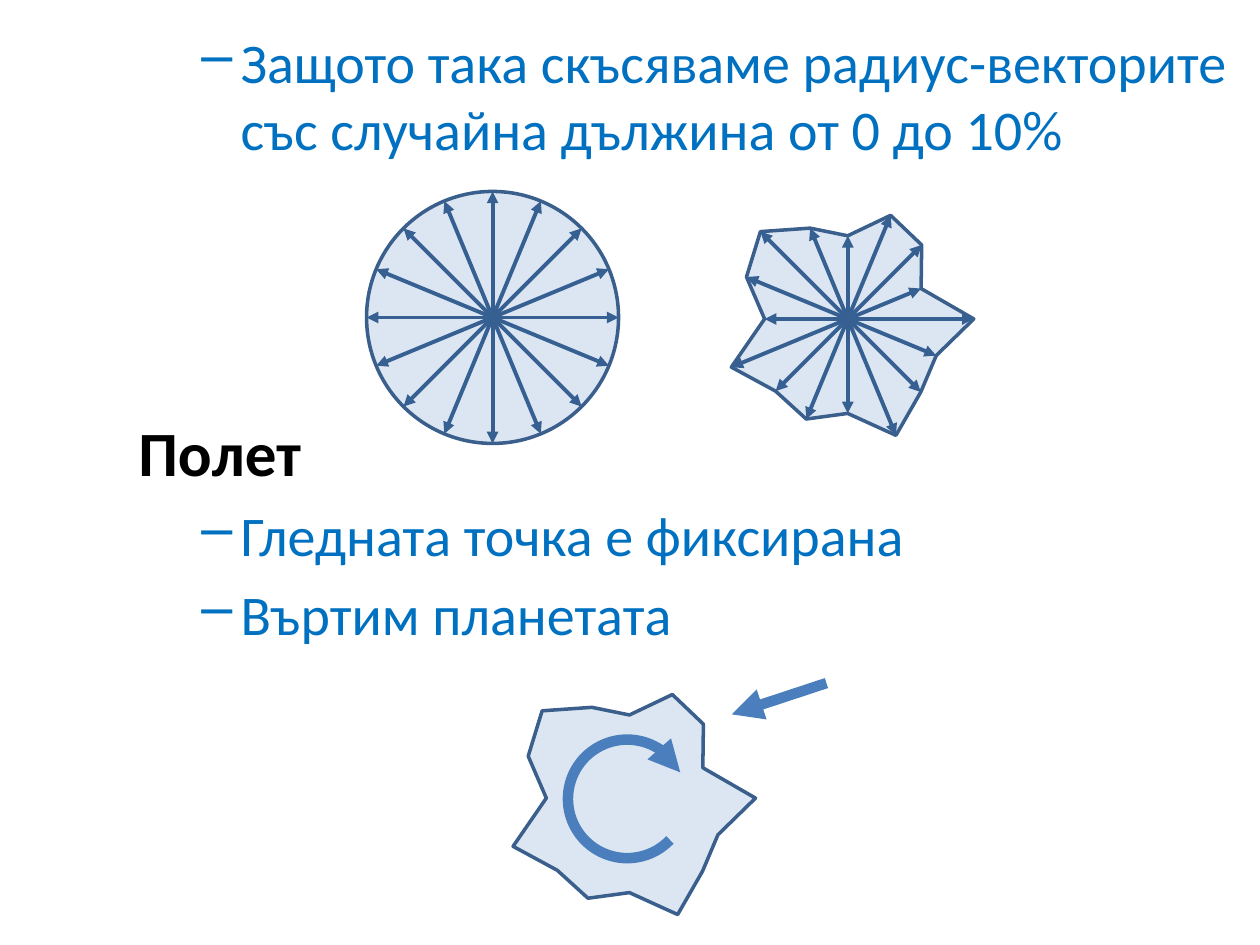
from dataclasses import dataclass
from math import cos, radians, sin

from lxml import etree
from pptx import Presentation
from pptx.dml.color import RGBColor
from pptx.enum.shapes import MSO_CONNECTOR, MSO_SHAPE
from pptx.oxml.ns import qn
from pptx.util import Cm, Pt

STRAIGHT = MSO_CONNECTOR.STRAIGHT
ELLIPSE = MSO_SHAPE.OVAL
ARC = MSO_SHAPE.ARC


@dataclass(frozen=True)
class Theme:
    font: str = "Calibri"
    heading_size: float = 36
    point_size: float = 32
    point_gap: float = 6.4
    heading: RGBColor = RGBColor(0x00, 0x00, 0x00)
    point: RGBColor = RGBColor(0x00, 0x70, 0xC0)
    body: RGBColor = RGBColor(0xDC, 0xE6, 0xF2)
    outline: RGBColor = RGBColor(0x3A, 0x5F, 0x8C)
    spoke: RGBColor = RGBColor(0x37, 0x60, 0x92)
    motion: RGBColor = RGBColor(0x4B, 0x7E, 0xBC)
    outline_width: float = 2
    spoke_width: float = 2.25
    motion_width: float = 6


THEME = Theme()
RADIUS = 2.54
CIRCLE_LENGTHS = [1] * 16
PLANET_LENGTHS = [0.66, 0.89, 0.83, 0.63, 1, 0.76, 0.82, 1,
                  0.75, 0.86, 0.81, 1, 0.66, 0.87, 0.98, 0.78]


def rim_points(center, lengths):
    x, y = center
    step = 360 / len(lengths)
    return [
        (Cm(x + RADIUS * length * sin(radians(step * index))),
         Cm(y - RADIUS * length * cos(radians(step * index))))
        for index, length in enumerate(lengths)
    ]


def style_line(shape, color, width, ends=()):
    shape.line.color.rgb = color
    shape.line.width = Pt(width)
    line = shape.line._get_or_add_ln()
    for end in ends:
        etree.SubElement(line, qn(f"a:{end}"), type="triangle")


def style_body(shape):
    shape.shadow.inherit = False
    shape.fill.solid()
    shape.fill.fore_color.rgb = THEME.body
    style_line(shape, THEME.outline, THEME.outline_width)


def add_arrow(page, start, finish, color, width, ends):
    arrow = page.shapes.add_connector(STRAIGHT, *start, *finish)
    style_line(arrow, color, width, ends)
    etree.SubElement(arrow._element.spPr, qn("a:effectLst"))


def add_spokes(page, center, lengths):
    points = rim_points(center, lengths)
    half = len(points) // 2
    for start, finish in zip(points[:half], points[half:]):
        add_arrow(page, start, finish, THEME.spoke, THEME.spoke_width,
                  ("headEnd", "tailEnd"))


def add_circle(page, center):
    x, y = center
    circle = page.shapes.add_shape(
        ELLIPSE, Cm(x - RADIUS), Cm(y - RADIUS), Cm(2 * RADIUS), Cm(2 * RADIUS))
    style_body(circle)
    add_spokes(page, center, CIRCLE_LENGTHS)


def add_planet(page, center):
    first, *others = rim_points(center, PLANET_LENGTHS)
    builder = page.shapes.build_freeform(*first)
    builder.add_line_segments(others, close=True)
    style_body(builder.convert_to_shape())


def add_flight(page, center):
    x, y = center
    add_planet(page, center)
    size = 2.39
    turn = page.shapes.add_shape(
        ARC, Cm(x - 1.24), Cm(y - 1.18), Cm(size), Cm(size))
    turn.adjustments[0] = 26.33
    turn.adjustments[1] = 200.1
    turn.shadow.inherit = False
    turn.fill.background()
    style_line(turn, THEME.motion, THEME.motion_width, ("tailEnd",))
    add_arrow(page, (Cm(x + 3.97), Cm(y - 2.32)), (Cm(x + 2.06), Cm(y - 1.69)),
              THEME.motion, THEME.motion_width, ("tailEnd",))


def set_font(para, size, color, bold=False):
    para.font.name = THEME.font
    para.font.size = Pt(size)
    para.font.color.rgb = color
    para.font.bold = bold


def add_text(page, left, top, width, height, points, heading=None):
    box = page.shapes.add_textbox(Cm(left), Cm(top), Cm(width), Cm(height))
    frame = box.text_frame
    frame.word_wrap = True
    lines = [heading, *points] if heading else points
    for index, line in enumerate(lines):
        para = frame.add_paragraph() if index else frame.paragraphs[0]
        para.text = line
        if line == heading:
            set_font(para, THEME.heading_size, THEME.heading, True)
        else:
            para.level = 1
            properties = para._p.get_or_add_pPr()
            properties.set("marL", str(Cm(2.06)))
            properties.set("indent", str(Cm(-0.79)))
            etree.SubElement(properties, qn("a:buChar"), char="–")
            set_font(para, THEME.point_size, THEME.point)
        if index:
            para.space_before = Pt(THEME.point_gap)


def main():
    deck = Presentation()
    deck.slide_width = Cm(25.4)
    deck.slide_height = Cm(19.05)
    page = deck.slides.add_slide(deck.slide_layouts[6])
    add_text(page, 2.54, 0.43, 22.86, 3.1, [
        "Защото така скъсяваме радиус-векторите със случайна дължина от 0 до 10%",
    ])
    add_text(page, 2.54, 8.22, 22.86, 5, [
        "Гледната точка е фиксирана",
        "Въртим планетата",
    ], "Полет")
    shortened = (17.09, 6.43)
    add_planet(page, shortened)
    add_spokes(page, shortened, PLANET_LENGTHS)
    add_circle(page, (9.93, 6.4))
    add_flight(page, (12.69, 16.09))
    deck.save("out.pptx")


if __name__ == "__main__":
    main()
